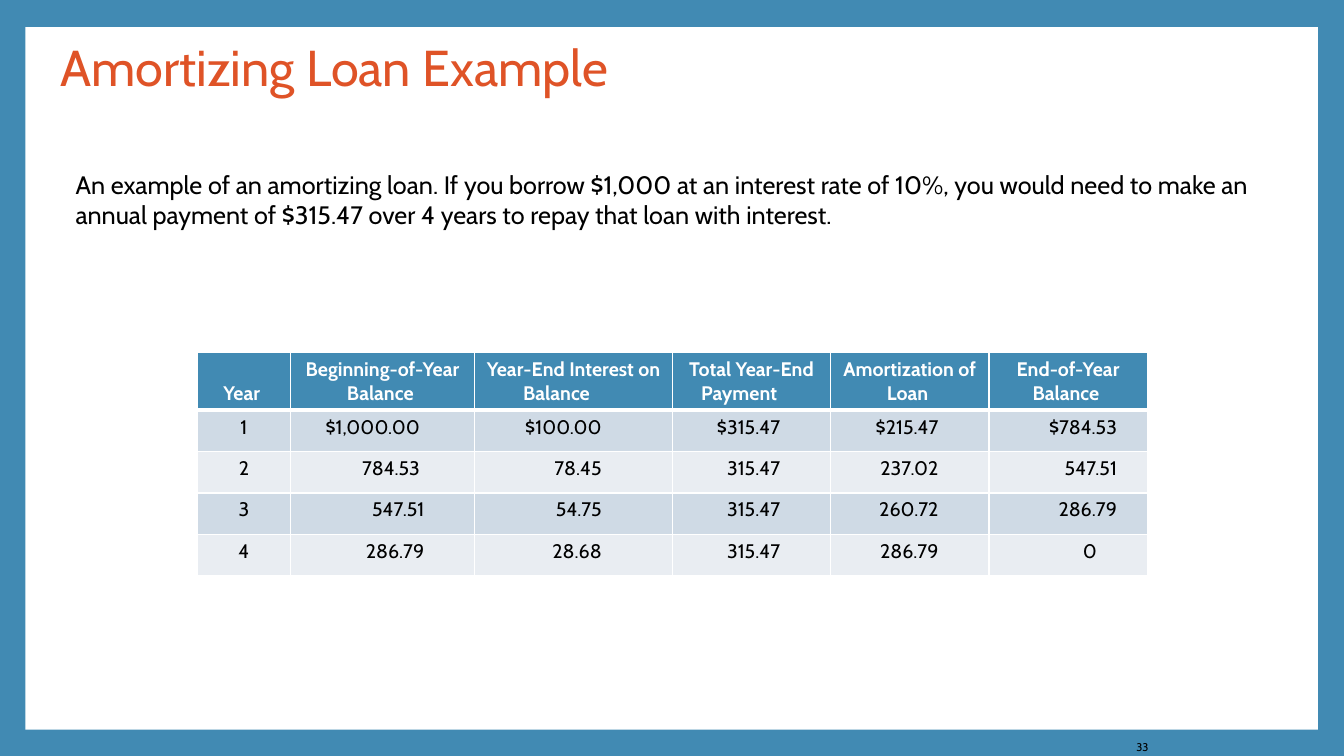
import pptx
import pptx.util
import pptx.dml.color
import pptx.enum.shapes
import pptx.enum.text
import pptx.oxml.ns
import lxml.etree

RGB = pptx.dml.color.RGBColor
BLUE = RGB(0x41, 0x8A, 0xB3)
ORANGE = RGB(0xDF, 0x53, 0x27)
WHITE = RGB(0xFF, 0xFF, 0xFF)
BLACK = RGB(0, 0, 0)
BANDS = [RGB(0xE9, 0xED, 0xF2), RGB(0xCF, 0xDA, 0xE5)]
FONT = "Cabin"
ALIGN = pptx.enum.text.PP_ALIGN
ANCHOR = pptx.enum.text.MSO_ANCHOR
Pt = pptx.util.Pt
Inches = pptx.util.Inches

deck = pptx.Presentation()
deck.slide_width = Inches(13.33)
deck.slide_height = Inches(7.5)
slide = deck.slides.add_slide(deck.slide_layouts[6])
slide.background.fill.solid()
slide.background.fill.fore_color.rgb = BLUE


def place(x, y, w, h):
    """Turn percentages of the slide's size into lengths."""
    wide, high = deck.slide_width / 100, deck.slide_height / 100
    return int(x * wide), int(y * high), int(w * wide), int(h * high)


def write(frame, text, size, color, align, bold=False):
    """Add one styled run to the first paragraph of a frame."""
    frame.word_wrap = True
    para = frame.paragraphs[0]
    para.alignment = align
    run = para.add_run()
    run.text = text
    run.font.name = FONT
    run.font.size = Pt(size)
    run.font.bold = bold
    run.font.color.rgb = color


# White panel inside the blue frame
panel = slide.shapes.add_shape(
    pptx.enum.shapes.MSO_SHAPE.RECTANGLE, *place(1.88, 3.6, 96.17, 92.93))
panel.shadow.inherit = False
panel.fill.solid()
panel.fill.fore_color.rgb = WHITE
panel.line.fill.background()

# Title, body and page number
title = slide.shapes.add_textbox(*place(3.75, 4.4, 92.5, 9.87)).text_frame
title.vertical_anchor = ANCHOR.MIDDLE
write(title, "Amortizing Loan Example", 36, ORANGE, ALIGN.LEFT)
title.paragraphs[0].line_spacing = 0.9

body = slide.shapes.add_textbox(*place(4.88, 21.73, 88.75, 9.47)).text_frame
write(body, "An example of an amortizing loan. If you borrow $1,000 at an "
      "interest rate of 10%, you would need to make an annual payment of "
      "$315.47 over 4 years to repay that loan with interest.",
      18, BLACK, ALIGN.LEFT)

number = slide.shapes.add_textbox(*place(83.27, 97.33, 2.93, 2.4)).text_frame
write(number, "33", 8, BLACK, ALIGN.RIGHT)

# Loan table
ROWS = [
    ["Year ", "Beginning-of-Year Balance ", "Year-End Interest on Balance \t",
     "Total Year-End Payment \t", "Amortization of Loan ",
     "End-of-Year Balance "],
    ["1", "$1,000.00 ", "$100.00", "$315.47", "$215.47", "$784.53"],
    ["2", "784.53 ", "78.45", "315.47", "237.02", "547.51"],
    ["3", "547.51", "54.75", "315.47", "260.72", "286.79"],
    ["4", "286.79", "28.68", "315.47", "286.79", "0"],
]
COLS = [6.9, 13.73, 14.7, 11.78, 11.78, 11.78]
HEAD, ROW = 7.6, 5.47
INSETS = [0.1, 0.5, 0.7, 0.5, 0.5, 0.3]

table = slide.shapes.add_table(
    len(ROWS), len(COLS),
    *place(14.7, 46.67, sum(COLS), HEAD + ROW * (len(ROWS) - 1))).table
for col, share in zip(table.columns, COLS):
    col.width = place(0, 0, share, 0)[2]

for r, texts in enumerate(ROWS):
    head = r == 0
    table.rows[r].height = place(0, 0, 0, HEAD if head else ROW)[3]
    for c, text in enumerate(texts):
        cell = table.cell(r, c)
        props = cell._tc.get_or_add_tcPr()
        for side in "LRTB":
            width = 3 if head and side == "B" else 1
            line = lxml.etree.SubElement(
                props, pptx.oxml.ns.qn("a:ln" + side), w=str(Pt(width)))
            fill = lxml.etree.SubElement(line, pptx.oxml.ns.qn("a:solidFill"))
            lxml.etree.SubElement(
                fill, pptx.oxml.ns.qn("a:srgbClr"), val=str(WHITE))
        cell.fill.solid()
        cell.fill.fore_color.rgb = BLUE if head else BANDS[r % 2]
        cell.vertical_anchor = ANCHOR.BOTTOM if head else ANCHOR.TOP
        figure = not head and c > 0
        if figure:
            cell.margin_left = 0
            cell.margin_right = Inches(0.5 if text == "0" else INSETS[c])
        write(cell.text_frame, text, 14, WHITE if head else BLACK,
              ALIGN.RIGHT if figure else ALIGN.CENTER, head)

deck.save("out.pptx")
